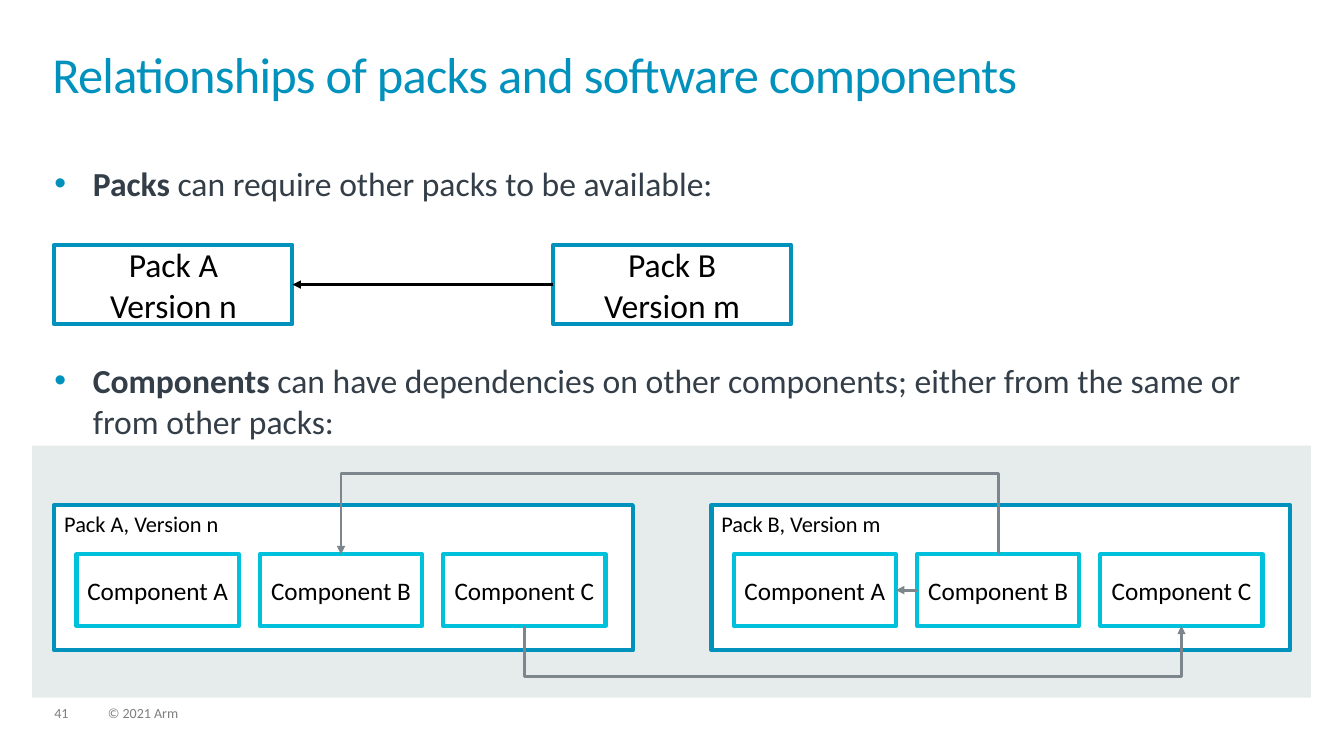
"""Build the slide on relationships of packs and software components."""
from lxml.etree import SubElement
from pptx import Presentation
from pptx.dml.color import RGBColor
from pptx.enum.shapes import MSO_CONNECTOR, MSO_SHAPE
from pptx.enum.text import MSO_ANCHOR, PP_ALIGN
from pptx.oxml.ns import qn
from pptx.util import Cm, Pt

RECT = MSO_SHAPE.RECTANGLE
STRAIGHT = MSO_CONNECTOR.STRAIGHT
TOP, MIDDLE = MSO_ANCHOR.TOP, MSO_ANCHOR.MIDDLE
LEFT, CENTER = PP_ALIGN.LEFT, PP_ALIGN.CENTER


class Theme:
    font = "Calibri"
    blue = RGBColor(0x00, 0x91, 0xBD)
    cyan = RGBColor(0x00, 0xC1, 0xDC)
    slate = RGBColor(0x33, 0x3E, 0x48)
    gray = RGBColor(0x7D, 0x86, 0x8C)
    faint = RGBColor(0x7F, 0x7F, 0x7F)
    band = RGBColor(0xE5, 0xEC, 0xEB)
    black = RGBColor(0, 0, 0)
    white = RGBColor(0xFF, 0xFF, 0xFF)
    title, body, item, label, foot = Pt(36), Pt(24), Pt(18), Pt(16), Pt(10)
    edge, wire = Pt(3), Pt(2)


def write(shape, *lines, size, color=Theme.black, align=LEFT, anchor=TOP,
          wrap=False, inset=True, space=1, gap=0, track=0, bullet=False):
    """Put lines of text in a shape; a bullet line opens with a bold word."""
    frame = shape.text_frame
    frame.word_wrap = wrap
    frame.vertical_anchor = anchor
    if not inset:
        frame.margin_left = frame.margin_right = 0
        frame.margin_top = frame.margin_bottom = 0
    for i, line in enumerate(lines):
        para = frame.paragraphs[0] if i == 0 else frame.add_paragraph()
        para.alignment = align
        para.line_spacing = space
        para.space_before = Pt(gap if i else 0)
        pieces = [line]
        if bullet:
            props = para._p.get_or_add_pPr()
            props.set("marL", str(Cm(0.97)))
            props.set("indent", str(-Cm(0.97)))
            tint = SubElement(props, qn("a:buClr"))
            SubElement(tint, qn("a:srgbClr")).set("val", str(Theme.blue))
            SubElement(props, qn("a:buFont")).set("typeface", "Arial")
            SubElement(props, qn("a:buChar")).set("char", "•")
            head, blank, rest = line.partition(" ")
            pieces = [head, blank + rest]
        for j, piece in enumerate(pieces):
            run = para.add_run()
            run.text = piece
            run.font.name = Theme.font
            run.font.size = size
            run.font.color.rgb = color
            run.font.bold = bullet and j == 0
            if track:
                run._r.get_or_add_rPr().set("spc", str(track))


def draw(shape, color, width, fill=None, arrow=False):
    """Style the outline, fill and arrowhead of a shape or connector."""
    shape.line.color.rgb = color
    shape.line.width = width
    if arrow:
        SubElement(shape.line._get_or_add_ln(), qn("a:tailEnd")).set("type", "triangle")
    if hasattr(shape, "fill"):
        shape.shadow.inherit = False
        shape.fill.background()
        if fill is not None:
            shape.fill.solid()
            shape.fill.fore_color.rgb = fill
    else:
        SubElement(shape._element.spPr, qn("a:effectLst"))


deck = Presentation()
deck.slide_width, deck.slide_height = Cm(33.87), Cm(19.05)
slide = deck.slides.add_slide(deck.slide_layouts[6])
shapes = slide.shapes

for x, width, text in [(1.37, 0.86, "41"), (2.72, 12.88, "© 2021 Arm")]:
    foot = shapes.add_textbox(Cm(x), Cm(17.81), Cm(width), Cm(0.38))
    write(foot, text, size=Theme.foot, color=Theme.faint, inset=False, wrap=True, space=0.9)

band = shapes.add_shape(RECT, Cm(0.81), Cm(11.23), Cm(32.23), Cm(6.35))
draw(band, Theme.band, 0, fill=Theme.band)
band.line.fill.background()

title = shapes.add_textbox(Cm(1.32), Cm(1.32), Cm(31.19), Cm(1.83))
write(title, "Relationships of packs and software components", size=Theme.title,
      color=Theme.blue, inset=False, wrap=True, space=0.85, track=-50)

body = shapes.add_textbox(Cm(1.37), Cm(4.11), Cm(31.06), Cm(7.1))
write(body, "Packs can require other packs to be available:",
      "Components can have dependencies on other components; "
      "either from the same or from other packs:",
      size=Theme.body, color=Theme.slate, inset=False, wrap=True, gap=112, bullet=True)

packs = []
for x, name, version in [(1.37, "Pack A", "Version n"), (13.94, "Pack B", "Version m")]:
    pack = shapes.add_shape(RECT, Cm(x), Cm(6.17), Cm(6), Cm(2))
    draw(pack, Theme.blue, Theme.edge)
    write(pack, name, version, size=Theme.body, align=CENTER, anchor=MIDDLE)
    packs.append(pack)

items = []
for k, name in enumerate(["Pack A, Version n", "Pack B, Version m"]):
    shift = 16.56 * k
    group = shapes.add_shape(RECT, Cm(1.37 + shift), Cm(12.73), Cm(14.58), Cm(3.66))
    draw(group, Theme.blue, Theme.edge, fill=Theme.white)
    write(group, name, size=Theme.label)
    for i, letter in enumerate("ABC"):
        item = shapes.add_shape(RECT, Cm(1.93 + shift + 4.62 * i), Cm(13.97), Cm(4.09), Cm(1.8))
        draw(item, Theme.cyan, Theme.edge)
        write(item, f"Component {letter}", size=Theme.item, align=CENTER, anchor=MIDDLE)
        items.append(item)

for start, end, color in [(packs[1], packs[0], Theme.black), (items[4], items[3], Theme.gray)]:
    link = shapes.add_connector(STRAIGHT, 0, 0, 0, 0)
    link.begin_connect(start, 1)
    link.end_connect(end, 3)
    draw(link, color, Theme.wire, arrow=True)

for start, end, edge, turn in [(items[4], items[1], 13.97, 11.94),
                               (items[2], items[5], 15.77, 17.04)]:
    near, far = (box.left + box.width // 2 for box in (start, end))
    trace = shapes.build_freeform(near, Cm(edge))
    trace.add_line_segments([(near, Cm(turn)), (far, Cm(turn)), (far, Cm(edge))], close=False)
    draw(trace.convert_to_shape(), Theme.gray, Theme.wire, arrow=True)

deck.save("out.pptx")
